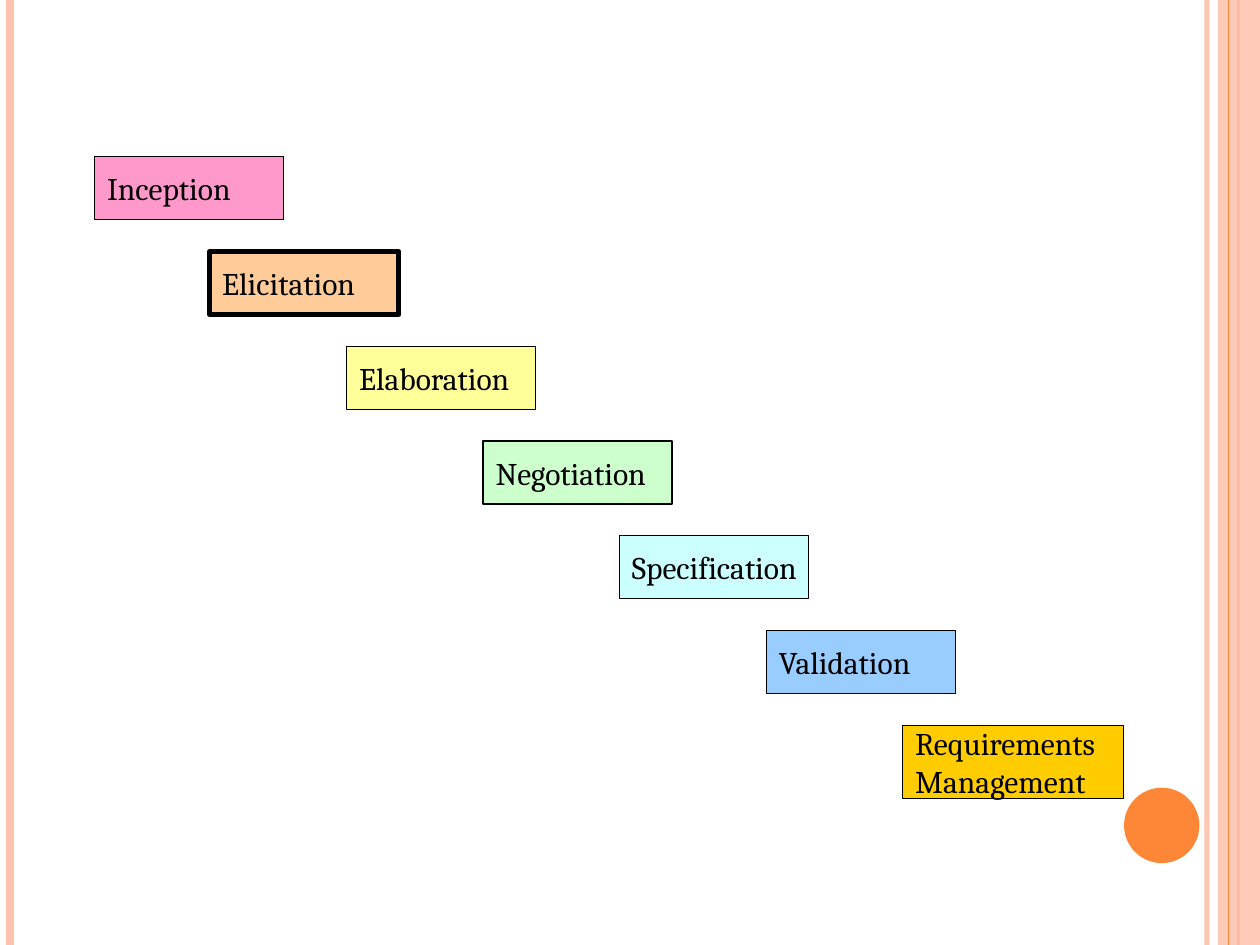
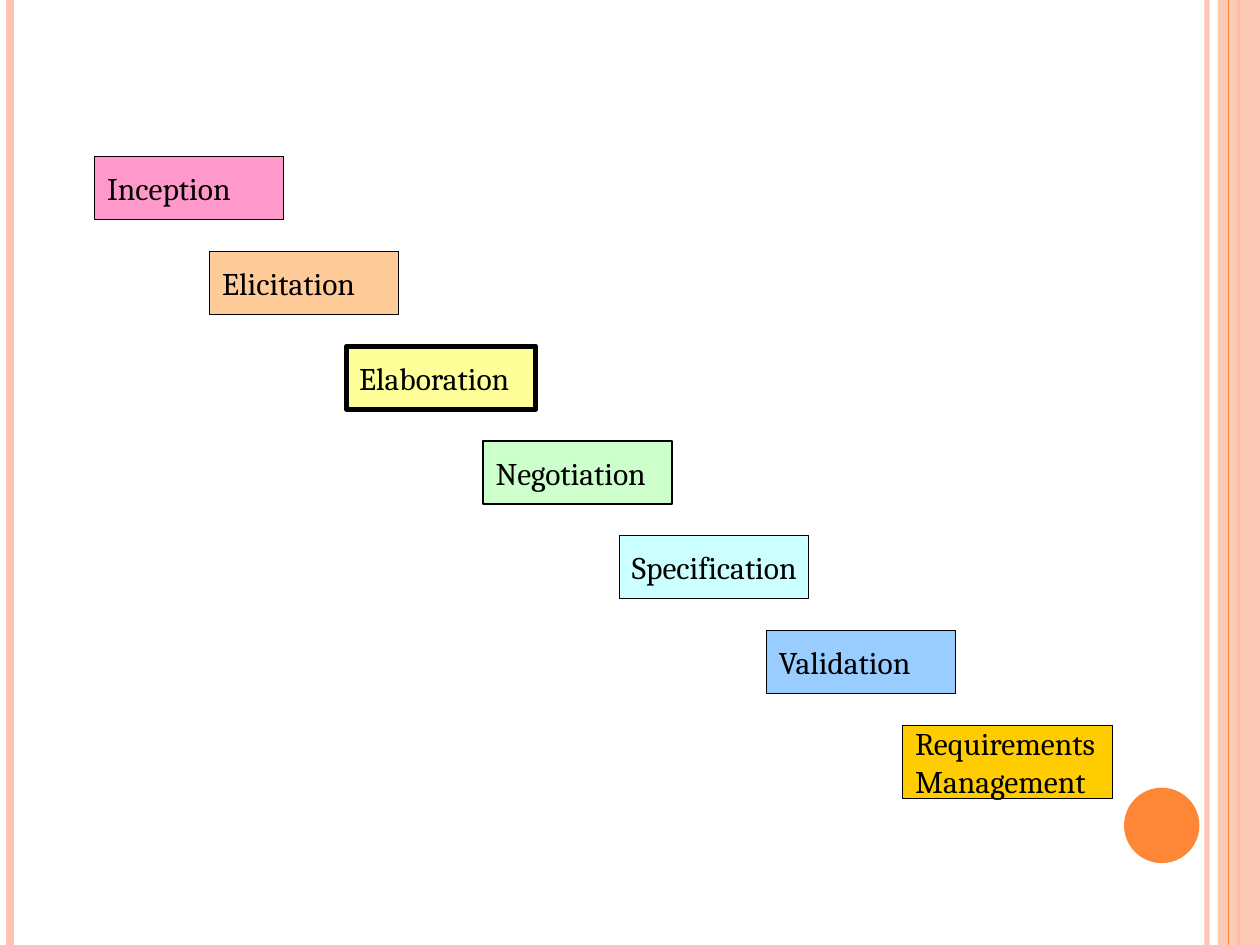
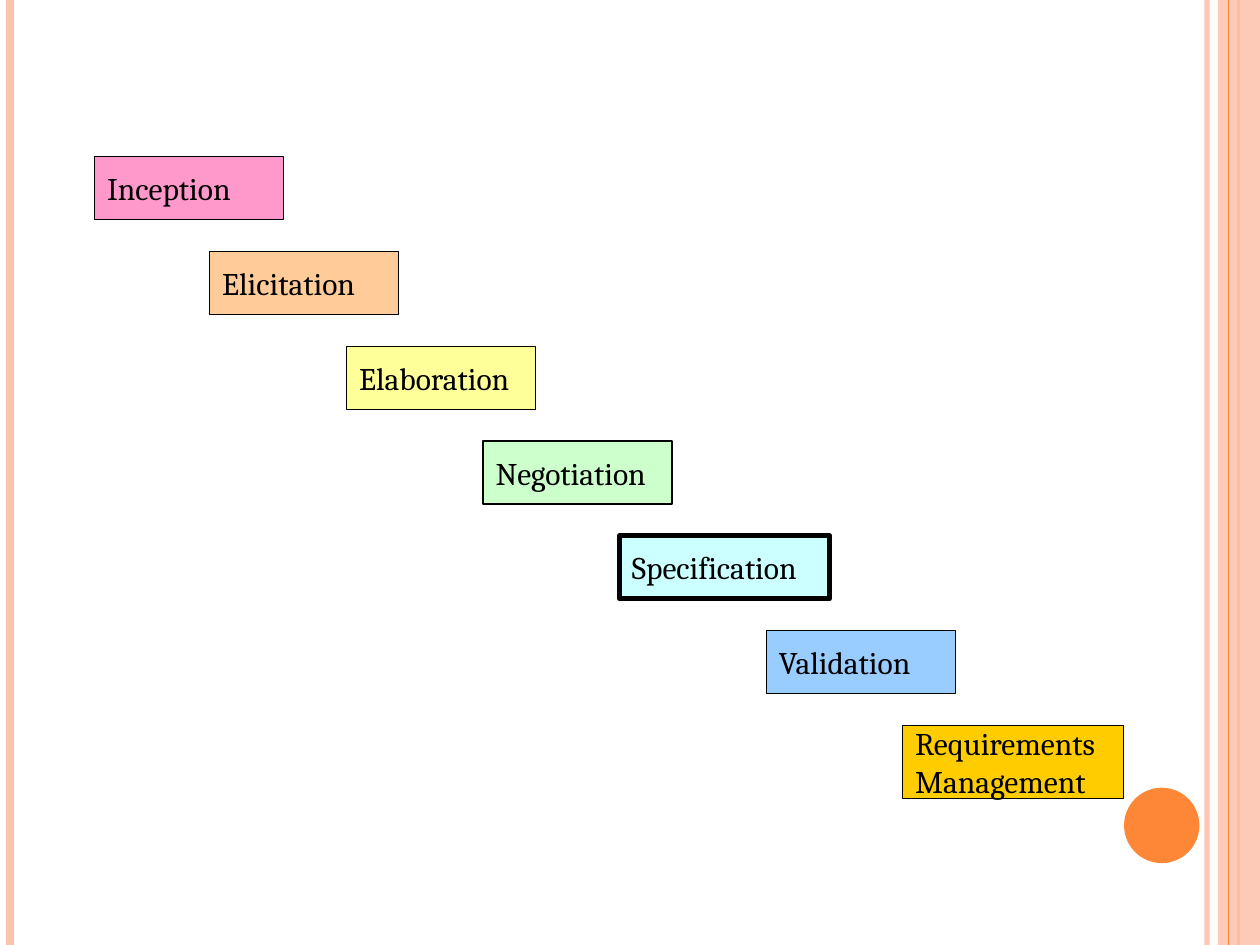
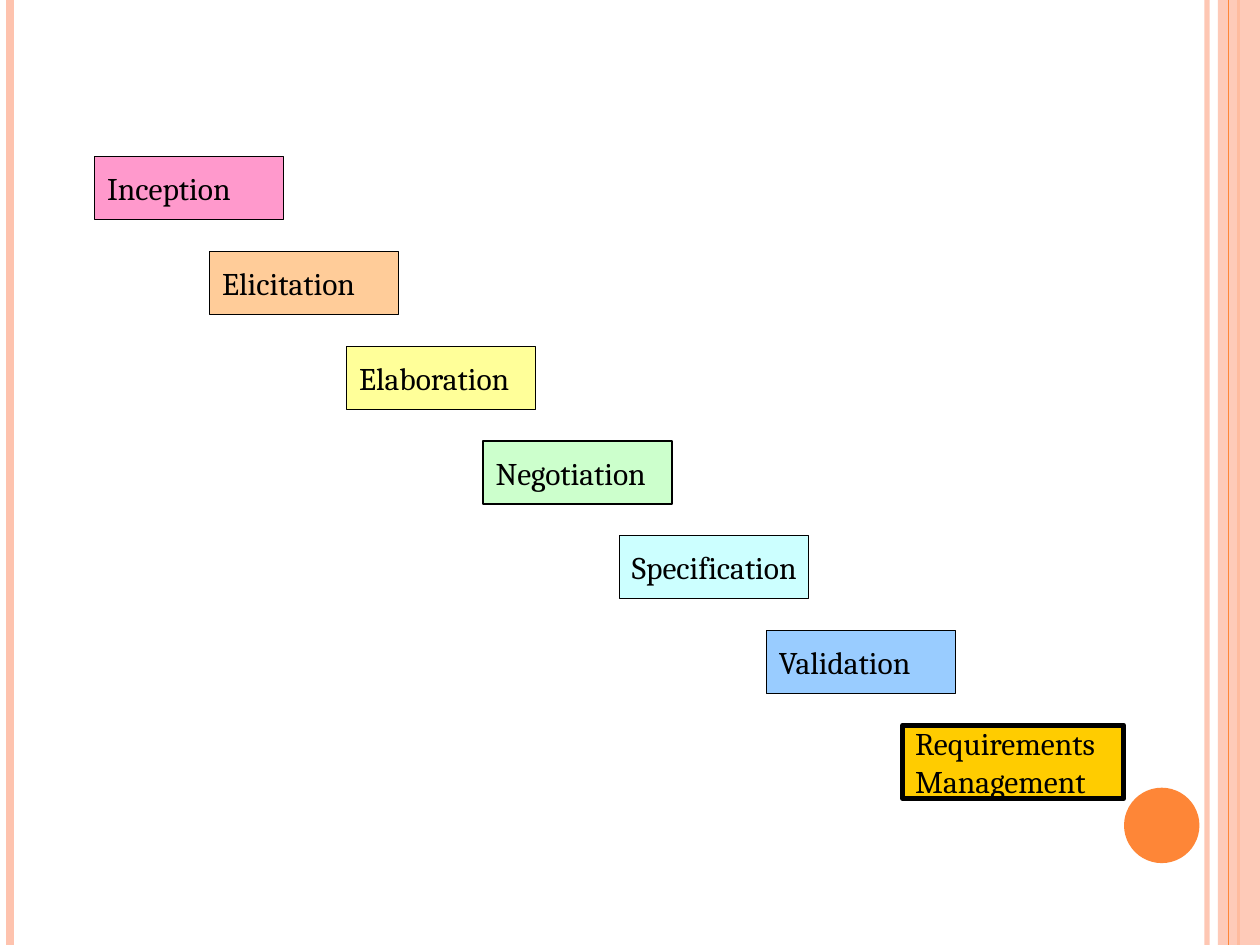
"""Build four slides that walk through the requirements engineering phases."""
from lxml import etree
from pptx import Presentation
from pptx import util as u
from pptx.dml.color import RGBColor
from pptx.enum import shapes, text
from pptx.oxml.ns import qn

COLORS = {
    "peach": "FEC3AE", "orange": "FE8637", "black": "000000",
    "pink": "FF99CC", "apricot": "FFCC99", "yellow": "FFFF99",
    "green": "CCFFCC", "cyan": "CCFFFF", "blue": "99CCFF", "gold": "FFCC00",
}
FONT = "Cambria"
RULES = [
    (24.33, "peach", 3, 93),
    (0.21, "peach", 4.5, 100),
    (24.97, "orange", 1.5, 100),
    (24.77, "orange", 0.75, 100),
]
PHASES = [
    ("Inception", 1.91, "pink"),
    ("Elicitation", 4.23, "apricot"),
    ("Elaboration", 6.99, "yellow"),
    ("Negotiation", 9.74, "green"),
    ("Specification", 12.49, "cyan"),
    ("Validation", 15.45, "blue"),
    ("Requirements\nManagement", 18.2, "gold"),
]
FIRST_TOP, ROW_STEP = 3.16, 1.91
BOX_WIDTH, BOX_HEIGHT, LAST_HEIGHT = 3.81, 1.27, 1.48
SLIDES = [
    ("Elicitation", {"Requirements\nManagement": 4.45}),
    ("Elaboration", {"Requirements\nManagement": 4.23}),
    ("Specification", {"Specification": 4.23, "Requirements\nManagement": 4.45}),
    ("Requirements\nManagement", {"Requirements\nManagement": 4.45}),
]


def paint(color_format, name, opacity=100):
    color_format.rgb = RGBColor.from_string(COLORS[name])
    if opacity < 100:
        for color in color_format._xFill.iter(qn("a:srgbClr")):
            etree.SubElement(color, qn("a:alpha"), val=str(opacity * 1000))


def add_filled(slide, kind, box, color, opacity=100):
    shape = slide.shapes.add_shape(kind, *(u.Cm(length) for length in box))
    shape.shadow.inherit = False
    shape.fill.solid()
    paint(shape.fill.fore_color, color, opacity)
    shape.line.fill.background()
    return shape


presentation = Presentation()
presentation.slide_width, presentation.slide_height = u.Cm(25.4), u.Cm(19.05)
layout = presentation.slide_layouts[6]
for placeholder in list(layout.placeholders):
    layout.shapes.element.remove(placeholder.element)
slides = [presentation.slides.add_slide(layout) for _ in SLIDES]

decorations = []
for left, color, width, opacity in RULES:
    rule = slides[0].shapes.add_connector(
        shapes.MSO_CONNECTOR.STRAIGHT, u.Cm(left), 0, u.Cm(left), presentation.slide_height)
    rule.line.width = u.Pt(width)
    paint(rule.line.color, color, opacity)
    etree.SubElement(rule.element.spPr, qn("a:effectLst"))
    decorations.append(rule)
band = add_filled(slides[0], shapes.MSO_SHAPE.RECTANGLE, (24.55, 0, 0.85, 19.05), "peach", 87)
disc = add_filled(slides[0], shapes.MSO_SHAPE.OVAL, (22.66, 15.88, 1.52, 1.52), "orange")
decorations.insert(3, band)
decorations.append(disc)
for decoration in decorations:
    layout.shapes.element.append(decoration.element)

for slide, (current, widths) in zip(slides, SLIDES):
    for row, (label, left, color) in enumerate(PHASES):
        height = LAST_HEIGHT if row == len(PHASES) - 1 else BOX_HEIGHT
        box = (left, FIRST_TOP + row * ROW_STEP, widths.get(label, BOX_WIDTH), height)
        shape = add_filled(slide, shapes.MSO_SHAPE.RECTANGLE, box, color)
        paint(shape.line.color if shape.line.fill.solid() else shape.line.fill.fore_color, "black")
        shape.line.width = u.Pt(3 if label == current else 0.75)
        frame = shape.text_frame
        frame.text = label
        frame.word_wrap = False
        frame.vertical_anchor = text.MSO_ANCHOR.MIDDLE
        for paragraph in frame.paragraphs:
            paragraph.alignment = text.PP_ALIGN.LEFT
            for run in paragraph.runs:
                run.font.name = FONT
                run.font.size = u.Pt(18)
                paint(run.font.color, "black")

presentation.save("out.pptx")
